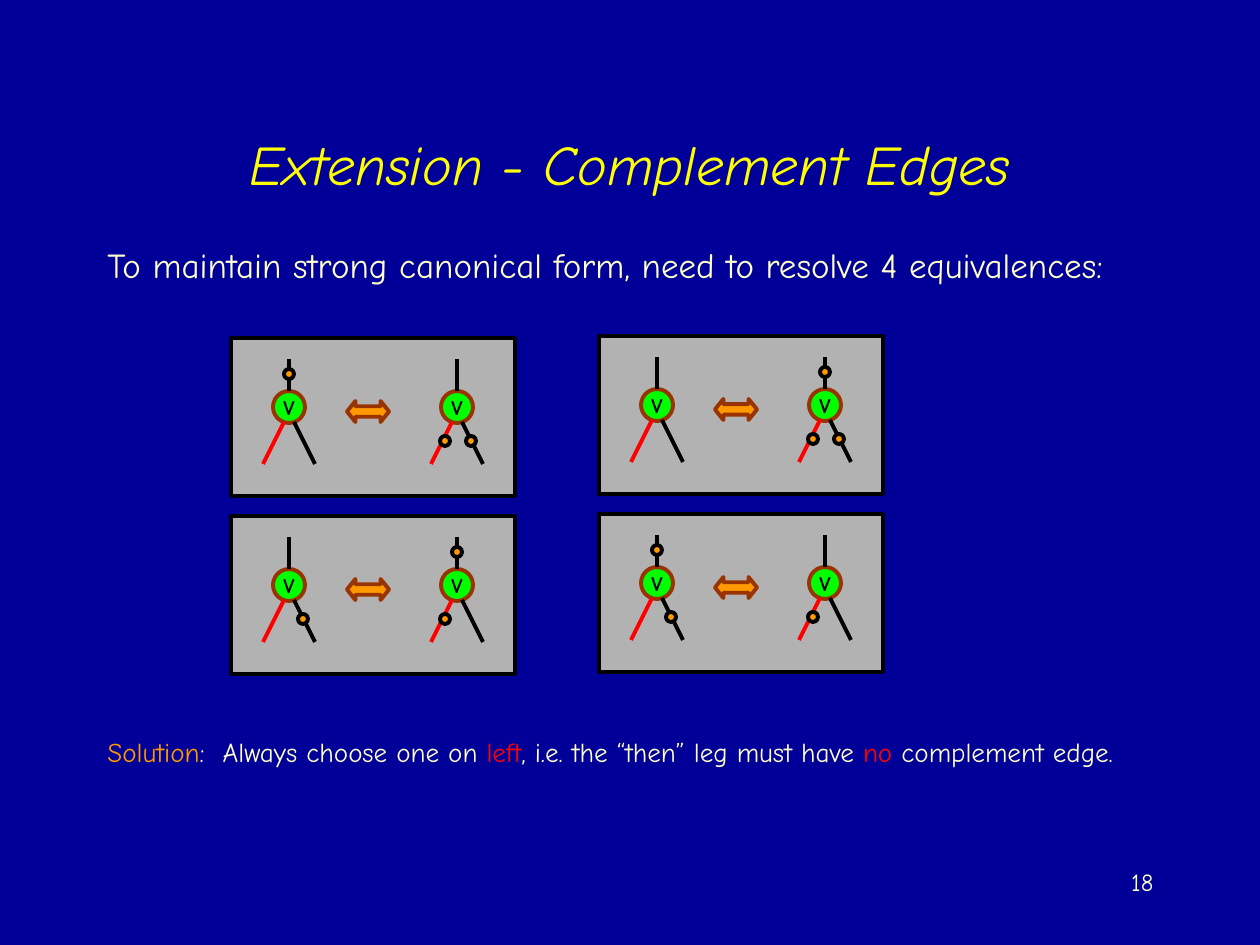
from pptx import Presentation
from pptx.dml.color import RGBColor
from pptx.enum.shapes import MSO_CONNECTOR, MSO_SHAPE
from pptx.enum.text import MSO_ANCHOR, PP_ALIGN
from pptx.oxml.ns import qn
from pptx.util import Emu, Pt
from lxml.etree import SubElement

FONT = "Comic Neue"
NAVY, YELLOW, CREAM = "000099", "FFFF00", "FFFFCC"
BLACK, RED, ORANGE = "000000", "FF0000", "FF9900"
GRAY, GREEN, BROWN = "B2B2B2", "00FF00", "993300"

TITLE = [("Extension - Complement Edges", YELLOW)]
CLAIM = [("To maintain strong canonical form, need to resolve 4 equivalences:", CREAM)]
SOLUTION = [
    ("Solution", ORANGE),
    (":  Always choose one on ", CREAM),
    ("left", RED),
    (", i.e. the “then” leg must have ", CREAM),
    ("no", RED),
    (" complement edge.", CREAM),
]
PAGE_NUMBER = [("18", CREAM)]

EQUIVALENCES = [
    (231, 338, ["stem"], ["then", "else"]),
    (599, 336, [], ["stem", "then", "else"]),
    (231, 516, ["else"], ["stem", "then"]),
    (599, 514, ["stem", "else"], ["then"]),
]
EDGES = {
    "stem": ((0, 21), (0, 53), BLACK),
    "then": ((-5, 84), (-26, 126), RED),
    "else": ((5, 84), (26, 126), BLACK),
}
COMPLEMENT_DOTS = {"stem": (0, 36), "then": (-12, 103), "else": (14, 103)}
PANEL_WIDTH, PANEL_HEIGHT = 284, 158
NODE_CENTERS = (58, 226)
NODE_TOP, NODE_SIZE, DOT_SIZE = 53, 32, 10


def px(length):
    return Emu(round(length * 914400 / 126))


def color(value):
    return RGBColor.from_string(value)


def add_text(slide, runs, box, size, align=PP_ALIGN.LEFT, spacing=1.0,
             anchor=MSO_ANCHOR.TOP, italic=False):
    frame = slide.shapes.add_textbox(*map(px, box)).text_frame
    frame.word_wrap = True
    frame.vertical_anchor = anchor
    paragraph = frame.paragraphs[0]
    paragraph.alignment = align
    paragraph.line_spacing = spacing
    paragraph.font.name = FONT
    paragraph.font.size = Pt(size)
    paragraph.font.italic = italic
    for words, shade in runs:
        run = paragraph.add_run()
        run.text = words
        run.font.color.rgb = color(shade)


def add_outlined(group, kind, box, fill, line):
    shape = group.shapes.add_shape(kind, *map(px, box))
    shape.shadow.inherit = False
    shape.fill.solid()
    shape.fill.fore_color.rgb = color(fill)
    shape.line.color.rgb = color(line)
    shape.line.width = Pt(2.25)
    return shape


def add_edge(group, center, top, edge):
    (x1, y1), (x2, y2), shade = edge
    points = (center + x1, top + y1, center + x2, top + y2)
    connector = group.shapes.add_connector(MSO_CONNECTOR.STRAIGHT, *map(px, points))
    connector.line.color.rgb = color(shade)
    connector.line.width = Pt(2.25)
    SubElement(connector._element.spPr, qn("a:effectLst"))


def add_node(group, center, top, complemented):
    box = (center - NODE_SIZE / 2, top + NODE_TOP, NODE_SIZE, NODE_SIZE)
    frame = add_outlined(group, MSO_SHAPE.OVAL, box, GREEN, BROWN).text_frame
    frame.word_wrap = False
    frame.vertical_anchor = MSO_ANCHOR.MIDDLE
    label = frame.paragraphs[0]
    label.text = "V"
    label.alignment = PP_ALIGN.CENTER
    label.font.name = FONT
    label.font.size = Pt(12)
    label.font.bold = True
    label.font.color.rgb = color(BLACK)
    for edge in EDGES.values():
        add_edge(group, center, top, edge)
    for name in complemented:
        x, y = COMPLEMENT_DOTS[name]
        dot = (center + x - DOT_SIZE / 2, top + y - DOT_SIZE / 2, DOT_SIZE, DOT_SIZE)
        add_outlined(group, MSO_SHAPE.OVAL, dot, ORANGE, BLACK)


def add_equivalence(slide, left, top, *sides):
    group = slide.shapes.add_group_shape()
    add_outlined(group, MSO_SHAPE.RECTANGLE,
                 (left, top, PANEL_WIDTH, PANEL_HEIGHT), GRAY, BLACK)
    for center, complemented in zip(NODE_CENTERS, sides):
        add_node(group, left + center, top, complemented)
    arrow = add_outlined(group, MSO_SHAPE.LEFT_RIGHT_ARROW,
                         (left + 116, top + 63, 42, 21), ORANGE, BROWN)
    arrow.adjustments[0] = 0.5
    arrow.adjustments[1] = 0.4


def main():
    deck = Presentation()
    deck.slide_width, deck.slide_height = px(1260), px(945)
    slide = deck.slides.add_slide(deck.slide_layouts[6])
    slide.background.fill.solid()
    slide.background.fill.fore_color.rgb = color(NAVY)

    add_text(slide, TITLE, (95, 84, 1071, 158), 32, PP_ALIGN.CENTER,
             anchor=MSO_ANCHOR.MIDDLE, italic=True)
    add_text(slide, CLAIM, (95, 242, 1071, 53), 20, spacing=0.9)
    for equivalence in EQUIVALENCES:
        add_equivalence(slide, *equivalence)
    add_text(slide, SOLUTION, (95, 735, 1071, 84), 15.5, spacing=0.8)
    add_text(slide, PAGE_NUMBER, (903, 861, 263, 63), 14, PP_ALIGN.RIGHT)
    deck.save("out.pptx")


if __name__ == "__main__":
    main()
